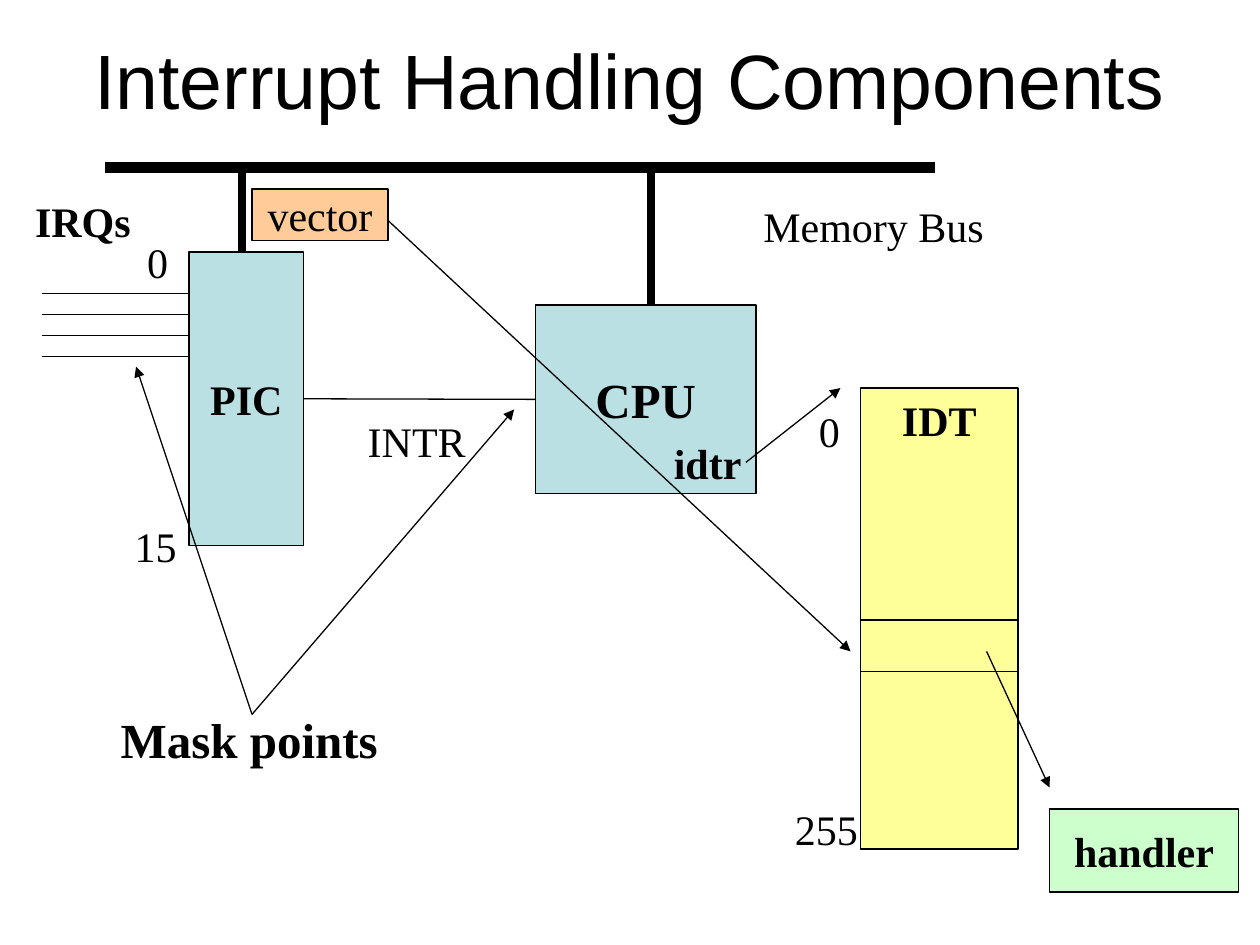
from typing import NamedTuple

from lxml.etree import SubElement
from pptx import Presentation
from pptx.dml.color import RGBColor
from pptx.enum.shapes import MSO_CONNECTOR as Link, MSO_SHAPE as Preset
from pptx.enum.text import MSO_ANCHOR as Anchor, MSO_AUTO_SIZE as Fit, PP_ALIGN as Align
from pptx.oxml.ns import qn
from pptx.util import Inches, Pt

COLORS = {
    "ink": "000000",
    "chip": "BBE0E3",
    "vector": "FFCC99",
    "table": "FFFF99",
    "handler": "CCFFCC",
}
SERIF = "Times New Roman"


class Box(NamedTuple):
    text: str
    left: float
    top: float
    width: float
    height: float
    fill: str
    size: int = 24
    bold: bool = True
    anchor: Anchor = Anchor.MIDDLE


class Label(NamedTuple):
    text: str
    left: float
    top: float
    width: float
    height: float = 0.5
    size: int = 24
    bold: bool = False


class Line(NamedTuple):
    x1: float
    y1: float
    x2: float
    y2: float
    weight: float = 0.75
    arrow: bool = False


def color(name: str) -> RGBColor:
    return RGBColor.from_string(COLORS[name])


def write(frame, text: str, *, size: int, font: str = SERIF, bold: bool = False,
          align: Align = Align.LEFT, anchor: Anchor = Anchor.TOP, wrap: bool = True) -> None:
    frame.auto_size = Fit.NONE if wrap else Fit.SHAPE_TO_FIT_TEXT
    frame.word_wrap = wrap
    frame.vertical_anchor = anchor
    frame.margin_left = frame.margin_right = Inches(0.1)
    frame.margin_top = frame.margin_bottom = Inches(0.05)
    paragraph = frame.paragraphs[0]
    paragraph.alignment = align
    run = paragraph.add_run()
    run.text = text
    run.font.name = font
    run.font.size = Pt(size)
    run.font.bold = bold
    run.font.color.rgb = color("ink")


def draw_box(slide, box: Box):
    shape = slide.shapes.add_shape(
        Preset.RECTANGLE, Inches(box.left), Inches(box.top), Inches(box.width), Inches(box.height))
    shape.shadow.inherit = False
    shape.fill.solid()
    shape.fill.fore_color.rgb = color(box.fill)
    shape.line.color.rgb = color("ink")
    shape.line.width = Pt(0.75)
    write(shape.text_frame, box.text, size=box.size, bold=box.bold,
          align=Align.CENTER, anchor=box.anchor)
    return shape


def draw_label(slide, label: Label) -> None:
    textbox = slide.shapes.add_textbox(
        Inches(label.left), Inches(label.top), Inches(label.width), Inches(label.height))
    write(textbox.text_frame, label.text, size=label.size, bold=label.bold, wrap=False)


def draw_line(slide, line: Line):
    connector = slide.shapes.add_connector(
        Link.STRAIGHT, Inches(line.x1), Inches(line.y1), Inches(line.x2), Inches(line.y2))
    connector.line.color.rgb = color("ink")
    connector.line.width = Pt(line.weight)
    if line.arrow:
        SubElement(connector.line._get_or_add_ln(), qn("a:tailEnd"), type="triangle")
    SubElement(connector._element.spPr, qn("a:effectLst"))
    return connector


PIC = Box("PIC", 1.5, 2, 0.91, 2.33, "chip")
CPU = Box("CPU", 4.25, 2.42, 1.75, 1.5, "chip", size=28)
VECTOR = Box("vector", 2, 1.5, 1.08, 0.41, "vector", bold=False)
IDT = Box("IDT", 6.83, 3.08, 1.25, 3.66, "table", anchor=Anchor.TOP)
HANDLER = Box("handler", 8.33, 6.42, 1.5, 0.66, "handler")

LABELS = [
    Label("Memory Bus", 5.96, 1.54, 1.95),
    Label("INTR", 2.82, 3.25, 0.98),
    Label("IRQs", 0.18, 1.5, 0.96, bold=True),
    Label("0", 1.07, 1.83, 0.36),
    Label("15", 0.97, 4.08, 0.53),
    Label("0", 6.4, 3.17, 0.36),
    Label("255", 6.21, 6.33, 0.7),
    Label("idtr", 5.25, 3.42, 0.74, bold=True),
    Label("Mask points", 0.86, 5.58, 2.24, 0.57, size=28, bold=True),
]

BUS_Y = 1.33
BUS_LINES = [
    Line(0.83, BUS_Y, 7.42, BUS_Y, weight=6),
    Line(1.92, PIC.top, 1.92, BUS_Y, weight=4.5),
    Line(5.17, CPU.top, 5.17, BUS_Y, weight=4.5),
]
IRQ_YS = [2.33 + index / 6 for index in range(4)]
IRQ_LINES = [Line(0.33, y, PIC.left, y) for y in IRQ_YS]
IDT_ENTRY_LINES = [Line(IDT.left, y, IDT.left + IDT.width, y) for y in (4.92, 5.33)]
ARROWS = [
    Line(5.92, 3.67, 6.67, 3.08, arrow=True),
    Line(7.83, 5.17, 8.33, 6.25, arrow=True),
    Line(3.08, 1.75, 6.75, 5.17, arrow=True),
    Line(2, 5.67, 1.08, 2.91, arrow=True),
    Line(2, 5.67, 4.08, 3.25, arrow=True),
]


def main() -> None:
    deck = Presentation()
    deck.slide_width, deck.slide_height = Inches(10), Inches(7.5)
    slide = deck.slides.add_slide(deck.slide_layouts[5])

    title = slide.shapes.title
    title.left, title.top = Inches(0.5), Inches(0)
    title.width, title.height = Inches(9), Inches(1.25)
    write(title.text_frame, "Interrupt Handling Components", size=44, font="Arial",
          align=Align.CENTER, anchor=Anchor.MIDDLE)

    pic, cpu = draw_box(slide, PIC), draw_box(slide, CPU)
    for box in (VECTOR, IDT, HANDLER):
        draw_box(slide, box)
    for label in LABELS:
        draw_label(slide, label)
    for line in BUS_LINES + IRQ_LINES + IDT_ENTRY_LINES + ARROWS:
        draw_line(slide, line)

    intr = draw_line(slide, Line(CPU.left, 3.17, PIC.left + PIC.width, 3.17))
    intr.begin_connect(cpu, 1)
    intr.end_connect(pic, 3)

    deck.save("out.pptx")


if __name__ == "__main__":
    main()
